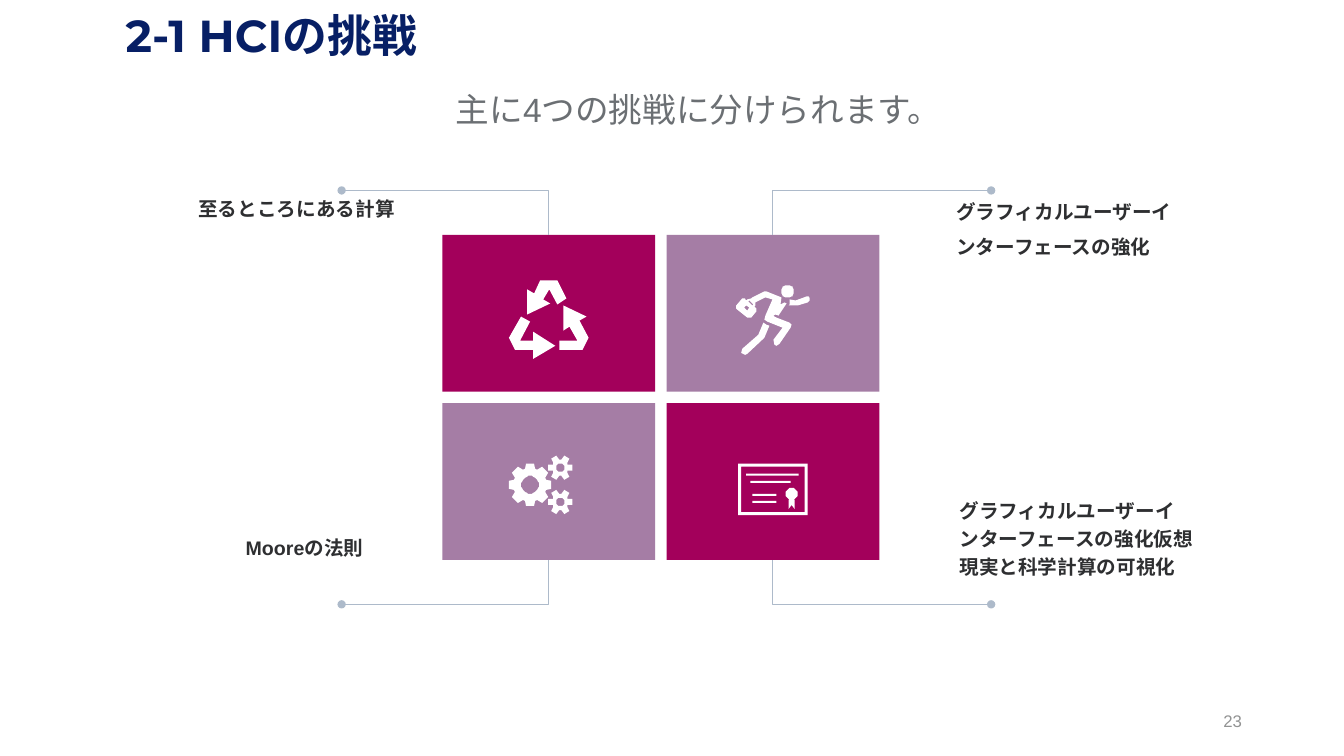
from math import cos, pi, sin

from lxml import etree
from pptx import Presentation
from pptx.dml.color import RGBColor
from pptx.enum.shapes import MSO_CONNECTOR, MSO_SHAPE
from pptx.enum.text import MSO_ANCHOR, MSO_AUTO_SIZE, PP_ALIGN
from pptx.oxml.ns import qn
from pptx.util import Cm, Pt

RECT, ELBOW = MSO_SHAPE.RECTANGLE, MSO_CONNECTOR.ELBOW
TOP, MID = MSO_ANCHOR.TOP, MSO_ANCHOR.MIDDLE
LEFT, RIGHT, MIDDLE = PP_ALIGN.LEFT, PP_ALIGN.RIGHT, PP_ALIGN.CENTER
GROW, FIXED = MSO_AUTO_SIZE.SHAPE_TO_FIT_TEXT, MSO_AUTO_SIZE.NONE
UNIT = Cm(2.54) / 100

HUES = {"navy": "071F65", "page": "929393", "grey": "6B6F73", "ink": "2E2F31",
        "pale": "3D3F41", "plum": "A3005B", "mauve": "A57DA5", "line": "ADBACA",
        "white": "FFFFFF"}
FONTS = {
    "title": {"name": "Montserrat", "size": Pt(32), "bold": True},
    "page": {"name": "Arial", "size": Pt(12)},
    "lead": {"name": "Arial", "size": Pt(24)},
    "label": {"name": "Arial", "size": Pt(14), "bold": True},
    "tail": {"name": "Arial", "size": Pt(18), "bold": False},
}


def hue(name):
    """Return the named colour."""
    return RGBColor.from_string(HUES[name])


def apply(thing, values):
    """Set each attribute of a thing from a dict."""
    for key, value in values.items():
        setattr(thing, key, value)


def write(slide, box, runs, align=LEFT, space=1.0, anchor=TOP, fit=FIXED, inset=None):
    """Place one paragraph of (text, font, colour) runs in a box."""
    frame = slide.shapes.add_textbox(*map(Cm, box)).text_frame
    apply(frame, {"word_wrap": True, "auto_size": fit, "vertical_anchor": anchor})
    if inset is not None:
        sides = ("left", "top", "right", "bottom")
        apply(frame, {f"margin_{side}": Cm(inset) for side in sides})
    para = frame.paragraphs[0]
    apply(para, {"alignment": align, "line_spacing": space})
    for text, font, tint in runs:
        run = para.add_run()
        run.text = text
        apply(run.font, FONTS[font])
        run.font.color.rgb = hue(tint)


def ring(x, y, size, count=32):
    """Return the points of a circle."""
    turns = [2 * pi * i / count for i in range(count)]
    return [(x + size * cos(a), y + size * sin(a)) for a in turns]


def gear(x, y, tip, root, hole, teeth):
    """Return the outline and the hole of a toothed wheel."""
    edge = ((root, -0.4), (tip, -0.22), (tip, 0.22), (root, 0.4))
    rim = [(x + r * cos(2 * pi * (i + t) / teeth), y + r * sin(2 * pi * (i + t) / teeth))
           for i in range(teeth) for r, t in edge]
    return [rim, ring(x, y, hole)]


def block(left, top, right, low):
    """Return the corners of an upright box."""
    return [(left, top), (right, top), (right, low), (left, low)]


CYCLE = [
    [(114, 45), (97, 45), (91, 58), (84, 54), (84, 79), (107, 68), (100, 64),
     (106, 54), (114, 69), (123, 63)],
    [(90, 105), (77, 105), (87, 86), (78, 81), (66, 102), (72, 114), (90, 114),
     (90, 123), (112, 110), (90, 96)],
    [(136, 85), (143, 81), (120, 70), (120, 95), (126, 91), (134, 105), (116, 105),
     (116, 114), (139, 114), (145, 102)],
]
RUNNER = [
    [(142, 63), (141, 61), (139, 61), (128, 65), (122, 64), (122, 69), (121, 70),
     (128, 70), (130, 70), (140, 67), (142, 65)],
    [(122, 87), (109, 82), (107, 81), (106, 80), (108, 79), (111, 80), (119, 68),
     (117, 67), (113, 69), (114, 62), (109, 60), (99, 56), (97, 56), (85, 62),
     (84, 63), (80, 64), (80, 65), (78, 64), (78, 63), (75, 63), (69, 70), (69, 73),
     (70, 74), (80, 82), (84, 82), (89, 76), (89, 73), (88, 72), (87, 71), (88, 70),
     (88, 67), (98, 62), (105, 64), (98, 80), (97, 84), (100, 86), (115, 92),
     (106, 104), (107, 109), (109, 110), (112, 108), (123, 92), (124, 89)],
    [(80, 75), (77, 72), (79, 70), (82, 72)],
    [(86, 69), (85, 70), (81, 66), (82, 65), (83, 66), (85, 68)],
    [(96, 87), (91, 99), (75, 113), (74, 117), (78, 119), (80, 118), (96, 103),
     (97, 102), (102, 90), (99, 89)],
    ring(120, 56, 6.5),
]
GEARS = [*gear(87, 81, 21.5, 16.5, 9, 8),
         *(path for y in (64, 98) for path in gear(117, y, 12.7, 8.2, 4.3, 6))]
AWARD = [
    block(71, 60, 140, 111), block(74, 63, 137, 108),
    block(79, 70, 131, 72), block(83, 77, 123, 79),
    block(85, 90, 109, 92), block(85, 97, 109, 99),
    ring(124, 90, 6),
    [(121, 96), (121, 105), (124, 101), (127, 105), (127, 96)],
]


def paint(shape, tint):
    """Give a shape a plain fill with no line or shadow."""
    shape.shadow.inherit = False
    shape.fill.solid()
    shape.fill.fore_color.rgb = hue(tint)
    shape.line.fill.background()


def icon(slide, left, top, paths):
    """Draw white outlines measured from the corner of a tile."""
    form = slide.shapes.build_freeform(*paths[0][0], scale=UNIT)
    for path in paths:
        form.move_to(*path[0])
        form.add_line_segments(path[1:], close=True)
    paint(form.convert_to_shape(Cm(left), Cm(top)), "white")


def lead_line(slide, tile, dot, site):
    """Join a dot to one side of a tile with a bent line."""
    link = slide.shapes.add_connector(ELBOW, *map(Cm, dot), tile.left, tile.top)
    link.end_connect(tile, site)
    link.line.color.rgb = hue("line")
    link.line.width = Pt(0.75)
    geom = link._element.spPr.find(qn("a:prstGeom"))
    geom.set("prst", "bentConnector2")
    etree.SubElement(link.line._get_or_add_ln(), qn("a:headEnd"), type="oval")
    etree.SubElement(link._element.spPr, qn("a:effectLst"))


def grid(slide, left, top, wide, high, gap):
    """Draw the four tiles with their icons and lead lines."""
    icons = ((CYCLE, RUNNER), (GEARS, AWARD))
    rise, ends = 1.12, (left - 2.54, left + 2 * wide + gap + 2.82)
    for row in range(2):
        for col in range(2):
            x, y = left + col * (wide + gap), top + row * (high + gap)
            tile = slide.shapes.add_shape(RECT, *map(Cm, (x, y, wide, high)))
            paint(tile, "plum" if row == col else "mauve")
            dot = ends[col], (y + high + rise if row else y - rise)
            lead_line(slide, tile, dot, 2 * row)
            icon(slide, x, y, icons[row][col])


def labels(slide, wide):
    """Write the label of each tile."""
    long = "グラフィカルユーザーインターフェースの強化"
    notes = (
        (4.75, 4.72, 0.91, "至るところにある計算", ""),
        (5.94, 13.26, 0.91, "Mooreの法則", ""),
        (23.93, 12.32, 3.78, long + "仮想現実と科学計算の可視化", ""),
        (23.85, 4.8, 2.54, long, " "),
    )
    for x, y, high, text, tail in notes:
        runs = [(text, "label", "ink")]
        if tail:
            runs.append((tail, "tail", "pale"))
        write(slide, (x, y, wide, high), runs, space=1.2, fit=GROW)


def head(slide):
    """Write the title, the lead sentence and the page number."""
    write(slide, (2.92, 0.23, 30.71, 1.96), [("2-1 HCIの挑戦", "title", "navy")], space=0.9)
    write(slide, (11.23, 2.24, 11.91, 1.02),
          [("主に4つの挑戦に分けられます。", "lead", "grey")],
          align=MIDDLE, anchor=MID, fit=GROW, inset=0)
    write(slide, (23.93, 17.65, 7.62, 1.02), [("23", "page", "page")],
          align=RIGHT, anchor=MID)


def main():
    """Build the slide and save it."""
    deck = Presentation()
    apply(deck, {"slide_width": Cm(33.87), "slide_height": Cm(19.05)})
    slide = deck.slides.add_slide(deck.slide_layouts[6])
    head(slide)
    grid(slide, 11.15, 5.92, 5.36, 3.95, 0.29)
    labels(slide, 6.4)
    deck.save("out.pptx")


if __name__ == "__main__":
    main()
